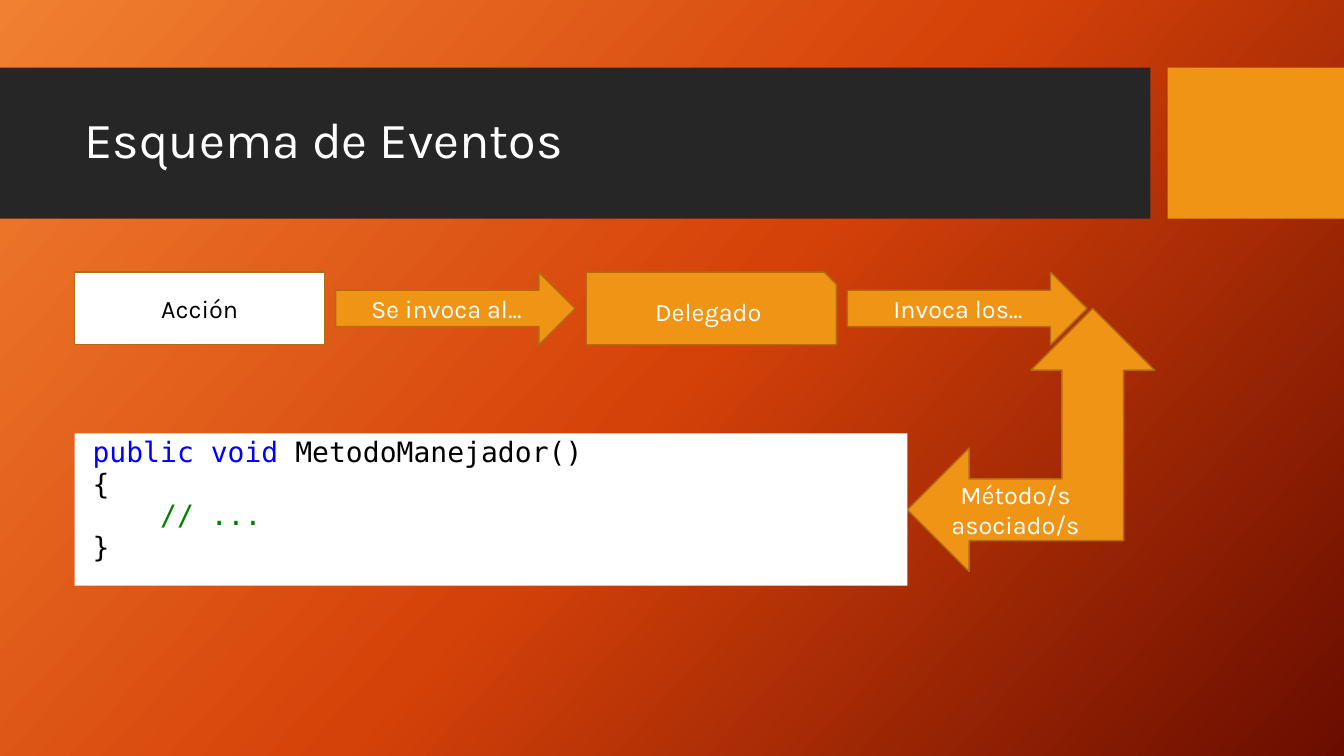
from copy import deepcopy

from pptx import Presentation
from pptx.dml.color import RGBColor
from pptx.enum.shapes import MSO_SHAPE as Shape
from pptx.enum.text import MSO_ANCHOR as Anchor, PP_ALIGN as Align
from pptx.oxml.ns import qn
from pptx.util import Inches, Pt

ORANGE, BROWN, DARK = "F09415", "B26D10", "262626"
WHITE, BLACK, BLUE, GREEN = "FFFFFF", "000000", "0000FF", "008000"
SANS, MONO = "Karla", "DejaVu Sans Mono"


def paint(color, value):
    color.rgb = RGBColor.from_string(value)


def style_font(font, name, size, color):
    font.name, font.size = name, Pt(size)
    paint(font.color, color)


def add_block(page, kind, box, fill, line=None):
    block = page.shapes.add_shape(kind, *map(Inches, box))
    block.shadow.inherit = False
    block.fill.solid()
    paint(block.fill.fore_color, fill)
    if line:
        paint(block.line.color, line)
        block.line.width = Pt(1)
    else:
        block.line.fill.background()
    return block


def add_step(page, kind, box, text, fill=ORANGE, color=WHITE):
    frame = add_block(page, kind, box, fill, BROWN).text_frame
    frame.word_wrap = True
    frame.vertical_anchor = Anchor.MIDDLE
    para = frame.paragraphs[0]
    para.text, para.alignment = text, Align.CENTER
    style_font(para.font, SANS, 18, color)


def paint_background(page, colors, angle):
    fill = page.background.fill
    fill.gradient()
    fill.gradient_angle = 360 - angle
    stop_list = page.element.find(".//" + qn("a:gsLst"))
    stop_list.insert(1, deepcopy(stop_list[0]))
    for index, (stop, color) in enumerate(zip(fill.gradient_stops, colors)):
        stop.position = index / (len(colors) - 1)
        paint(stop.color, color)


def add_header(page, box, text):
    left, top, width, height = box
    accent_width, gap = 1.75, 0.17
    bar_width = width - accent_width - gap
    add_block(page, Shape.RECTANGLE, (left, top, bar_width, height), DARK)
    add_block(page, Shape.RECTANGLE,
              (left + bar_width + gap, top, accent_width, height), ORANGE)
    title = page.shapes.title
    page.shapes._spTree.append(title._element)
    title.left, title.top = Inches(left + 0.74), Inches(top + 0.15)
    title.width, title.height = Inches(bar_width - 0.9), Inches(1.18)
    frame = title.text_frame
    frame.text = text
    frame.word_wrap = True
    frame.vertical_anchor = Anchor.MIDDLE
    para = frame.paragraphs[0]
    para.alignment, para.line_spacing = Align.LEFT, 0.9
    style_font(para.font, SANS, 36, WHITE)


def add_flow(page, box):
    left, top, width, height = box
    gap, block_width = 0.11, 2.48
    arrow_width = (width - 3 * gap) / 2 - block_width
    steps = [
        (Shape.RECTANGLE, block_width, "Acción", WHITE, BLACK),
        (Shape.RIGHT_ARROW, arrow_width, "Se invoca al...", ORANGE, WHITE),
        (Shape.SNIP_1_RECTANGLE, block_width, "Delegado", ORANGE, WHITE),
        (Shape.RIGHT_ARROW, arrow_width, "Invoca los...", ORANGE, WHITE),
    ]
    for kind, step_width, text, fill, color in steps:
        add_step(page, kind, (left, top, step_width, height), text, fill, color)
        left += step_width + gap


def add_code(page, box, lines):
    frame = add_block(page, Shape.RECTANGLE, box, WHITE).text_frame
    frame.word_wrap = True
    frame.vertical_anchor = Anchor.TOP
    for index, (indent, spans) in enumerate(lines):
        para = frame.add_paragraph() if index else frame.paragraphs[0]
        para.alignment, para.line_spacing = Align.LEFT, 0.9
        para.space_before = Pt(1)
        para._p.get_or_add_pPr().set("marL", str(Inches(0.08 + 0.67 * indent)))
        for text, color in spans:
            span = para.add_run()
            span.text = text
            style_font(span.font, MONO, 20, color)


deck = Presentation()
deck.slide_width, deck.slide_height = Inches(13.33), Inches(7.5)
page = deck.slides.add_slide(deck.slide_layouts[5])
paint_background(page, ["F18031", "D54209", "6A0D00"], 42)
add_header(page, (0, 0.67, 13.33, 1.5), "Esquema de Eventos")
add_flow(page, (0.74, 2.7, 10.04, 0.72))
add_step(page, Shape.LEFT_UP_ARROW, (9, 3.06, 2.45, 2.61), "Método/s asociado/s")
add_code(page, (0.74, 4.3, 8.26, 1.51), [
    (0, [("public void ", BLUE), ("MetodoManejador()", BLACK)]),
    (0, [("{", BLACK)]),
    (1, [("// ...", GREEN)]),
    (0, [("}", BLACK)]),
])
deck.save("out.pptx")
